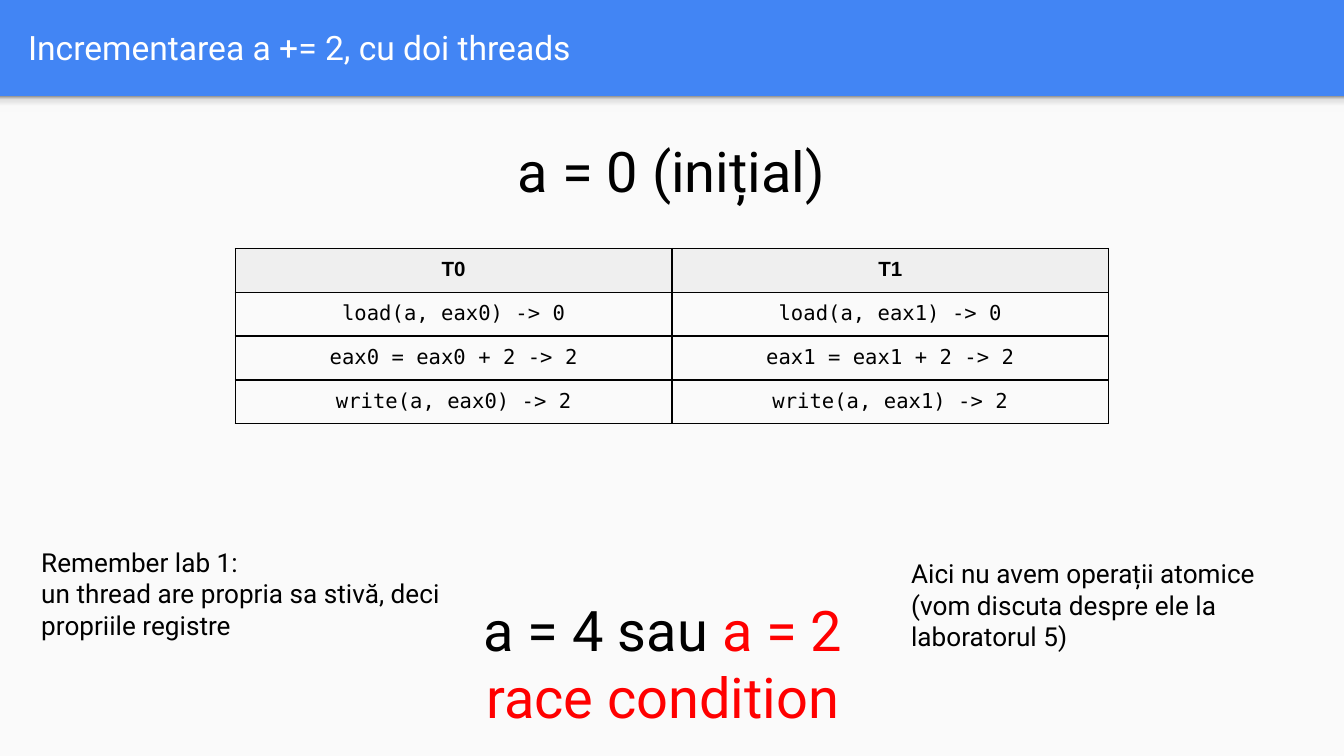
from lxml import etree
from pptx import Presentation
from pptx.dml.color import RGBColor
from pptx.enum.shapes import MSO_SHAPE
from pptx.enum.text import MSO_ANCHOR, PP_ALIGN
from pptx.oxml.ns import qn
from pptx.util import Cm, Pt

RECT = MSO_SHAPE.RECTANGLE
MID = MSO_ANCHOR.MIDDLE
LEFT = PP_ALIGN.LEFT
MIDDLE = PP_ALIGN.CENTER
BLACK, RED = "000000", "FF0000"


def color(code):
    return RGBColor.from_string(code)


def style(para, face, size, code, align=LEFT, bold=False):
    para.alignment = align
    font = para.font
    font.name, font.size, font.bold = face, Pt(size), bold
    font.color.rgb = color(code)


deck = Presentation()
deck.slide_width, deck.slide_height = Cm(25.4), Cm(14.29)
slide = deck.slides.add_slide(deck.slide_layouts[5])
back = slide.background.fill
back.solid()
back.fore_color.rgb = color("4285F4")

title = slide.shapes.title
panel = slide.shapes.add_shape(RECT, 0, Cm(1.82), Cm(25.4), Cm(12.47))
panel.fill.solid()
panel.fill.fore_color.rgb = color("FAFAFA")
shade = slide.shapes.add_shape(RECT, 0, Cm(1.82), Cm(25.4), Cm(0.3))
shade.fill.gradient()
shade.fill.gradient_angle = 90
stops = shade.fill._fill._gradFill.find(qn("a:gsLst"))
for stop in list(stops):
    stops.remove(stop)
for pos, code in [(0, "F9F9F9"), (36, "F9F9F9"), (80, "DEDEDE"), (100, "999999")]:
    stop = etree.SubElement(stops, qn("a:gs"), pos=str(pos * 1000))
    etree.SubElement(stop, qn("a:srgbClr"), val=code)
for shape in (panel, shade):
    shape.line.fill.background()
    shape.shadow.inherit = False

title.left, title.top, title.width, title.height = Cm(0.28), Cm(0.05), Cm(24.5), Cm(1.68)
title.text_frame.text = "Incrementarea a += 2, cu doi threads"
title.text_frame.vertical_anchor = MID
style(title.text_frame.paragraphs[0], "Roboto", 18, "FFFFFF")

notes = [
    ((7.87, 11, 9.32, 1.98), 30, MIDDLE,
     [[("a = 4 sau ", BLACK), ("a = 2", RED)], [("race condition", RED)]]),
    ((0.53, 10.08, 9.02, 2.41), 14, LEFT,
     [[("Remember lab 1:", BLACK)],
      [("un thread are propria sa stivă, deci propriile registre", BLACK)]]),
    ((16.97, 10.29, 7.82, 2.18), 14, LEFT,
     [[("Aici nu avem operații atomice (vom discuta despre ele la laboratorul 5)", BLACK)]]),
    ((8.03, 2.34, 9.32, 1.98), 30, MIDDLE, [[("a = 0 (inițial)", BLACK)]]),
]
frames = [title.text_frame]
for box, size, align, lines in notes:
    frame = slide.shapes.add_textbox(*map(Cm, box)).text_frame
    frames.append(frame)
    for num, line in enumerate(lines):
        para = frame.add_paragraph() if num else frame.paragraphs[0]
        style(para, "Roboto", size, line[0][1], align)
        for text, code in line:
            run = para.add_run()
            run.text = text
            run.font.color.rgb = color(code)
for frame in frames:
    frame.word_wrap = True
    frame.margin_left = frame.margin_right = Cm(0.25)
    frame.margin_top = frame.margin_bottom = Cm(0.25)

rows = ["T{0}", "load(a, eax{0}) -> 0", "eax{0} = eax{0} + 2 -> 2", "write(a, eax{0}) -> 2"]
high = Cm(0.8)
table = slide.shapes.add_table(len(rows), 2, Cm(4.45), Cm(4.7), Cm(16.5), high * len(rows)).table
for y, text in enumerate(rows):
    table.rows[y].height = high
    for x in range(2):
        cell = table.cell(y, x)
        cell.text = text.format(x)
        cell.margin_left = cell.margin_right = Cm(0.18)
        cell.margin_top = cell.margin_bottom = Cm(0.18)
        face = "DejaVu Sans Mono" if y else "Arial"
        style(cell.text_frame.paragraphs[0], face, 11, BLACK, MIDDLE, y == 0)
        props = cell._tc.get_or_add_tcPr()
        for side in ("lnL", "lnR", "lnT", "lnB"):
            edge = etree.SubElement(props, qn("a:" + side), w=str(Pt(1)))
            fill = etree.SubElement(edge, qn("a:solidFill"))
            etree.SubElement(fill, qn("a:srgbClr"), val=BLACK)
        if y:
            cell.fill.background()
        else:
            cell.fill.solid()
            cell.fill.fore_color.rgb = color("EFEFEF")

deck.save("out.pptx")
